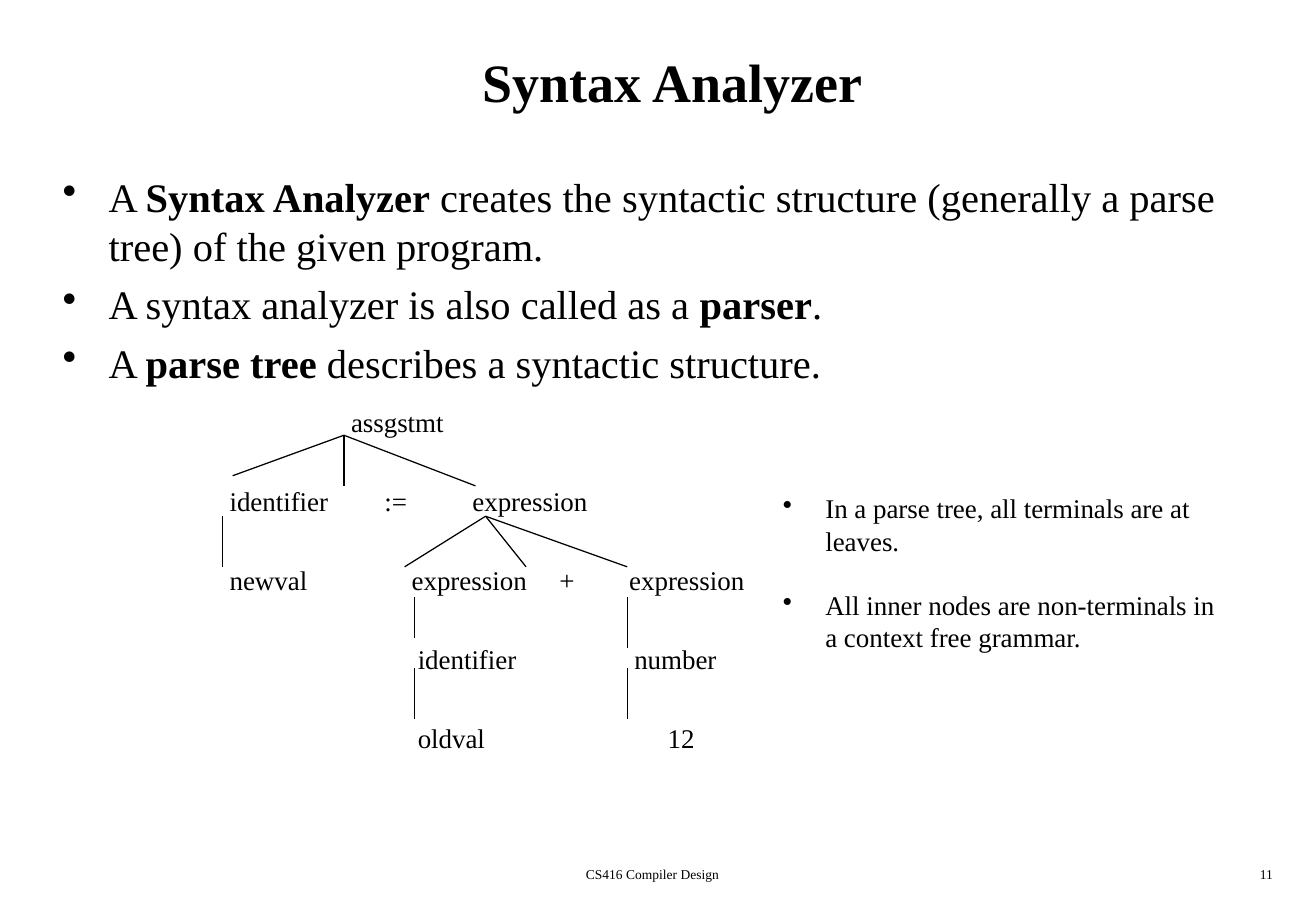
"""Build the Syntax Analyzer slide with its parse tree."""
from pptx import Presentation, util as u
from pptx.dml import color
from pptx.enum import shapes, text
from pptx.oxml import xmlchemy as x

FONT, INK, PAPER = "Times New Roman", "000000", "FFFFFF"
GRID = u.Inches(1) / 12


def write(shape, paragraphs, size, align=text.PP_ALIGN.LEFT, gap=0, hang=0, inset=0.1):
    """Fill a shape with paragraphs of (text, bold) parts, bulleted when hang is set."""
    frame = shape.text_frame
    frame.word_wrap = True
    frame.auto_size = text.MSO_AUTO_SIZE.NONE
    frame.margin_left = frame.margin_right = u.Inches(inset)
    frame.margin_top = frame.margin_bottom = u.Inches(inset / 2)
    for index, parts in enumerate(paragraphs):
        paragraph = frame.paragraphs[0] if index == 0 else frame.add_paragraph()
        paragraph.alignment = align
        paragraph.space_before = u.Pt(gap if index else 0)
        if hang:
            properties = paragraph._p.get_or_add_pPr()
            properties.set("marL", str(u.Inches(hang)))
            properties.set("indent", str(-u.Inches(hang)))
            bullet = x.OxmlElement("a:buChar")
            bullet.set("char", "•")
            properties.append(bullet)
        for words, bold in parts:
            run = paragraph.add_run()
            run.text = words
            run.font.name, run.font.size, run.font.bold = FONT, u.Pt(size), bold
            run.font.color.rgb = color.RGBColor.from_string(INK)


def cells(*values):
    """Turn grid columns and rows into lengths."""
    return [round(value * GRID) for value in values]


presentation = Presentation()
presentation.slide_width, presentation.slide_height = u.Inches(10.84), u.Inches(7.5)
slide = presentation.slides.add_slide(presentation.slide_layouts[5])
slide.background.fill.solid()
slide.background.fill.fore_color.rgb = color.RGBColor.from_string(PAPER)

title = slide.shapes.title
title.left, title.top, title.width, title.height = cells(5, 2, 123, 12)
title.text_frame.vertical_anchor = text.MSO_ANCHOR.MIDDLE
write(title, [[("Syntax Analyzer", True)]], 32, text.PP_ALIGN.CENTER)

points = [
    [("A ", False), ("Syntax Analyzer", True),
     (" creates the syntactic structure (generally a parse tree) of the given program.", False)],
    [("A syntax analyzer is also called as a ", False), ("parser", True), (".", False)],
    [("A ", False), ("parse tree", True), (" describes a syntactic structure.", False)],
]
write(slide.shapes.add_textbox(*cells(5, 16.4, 123, 23)), points, 24, gap=6, hang=0.38)

tree_levels = [
    [("assgstmt", 34.7)],
    [("identifier", 22.7), (":=", 38), ("expression", 46.7)],
    [("newval", 22.7), ("expression", 40.7), ("+", 55.3), ("expression", 62.2)],
    [("identifier", 41.3), ("number", 62.7)],
    [("oldval", 41.3), ("12", 66)],
]
for level, nodes in enumerate(tree_levels):
    for name, column in nodes:
        node = slide.shapes.add_textbox(*cells(column, 40.1 + 7.8 * level, 12, 3))
        write(node, [[(name, False)]], 16, inset=0)

branches = [
    ((34, 43), [(23, 47), (34, 48), (47, 48)]),
    ((22, 51), [(22, 56)]),
    ((48, 51), [(40, 56), (52, 56), (62, 56)]),
    ((41, 59), [(41, 63)]),
    ((41, 66), [(41, 71)]),
    ((62, 59), [(62, 64)]),
    ((62, 66), [(62, 71)]),
]
for parent, children in branches:
    for child in children:
        branch = slide.shapes.add_connector(shapes.MSO_CONNECTOR.STRAIGHT, *cells(*parent, *child))
        branch.line.width = u.Pt(0.75)
        branch.line.color.rgb = color.RGBColor.from_string(INK)
        branch._element.spPr.append(x.OxmlElement("a:effectLst"))

notes = [
    [("In a parse tree, all terminals are at leaves.", False)],
    [("All inner nodes are non-terminals in a context free grammar.", False)],
]
write(slide.shapes.add_textbox(*cells(76.2, 48, 46.2, 17)), notes, 16, gap=19, hang=0.35)

footers = [
    ("CS416 Compiler Design", 40, 49, text.PP_ALIGN.CENTER),
    ("11", 100, 27, text.PP_ALIGN.RIGHT),
]
for words, column, width, align in footers:
    write(slide.shapes.add_textbox(*cells(column, 85, width, 3)), [[(words, False)]], 8, align)

presentation.save("out.pptx")
